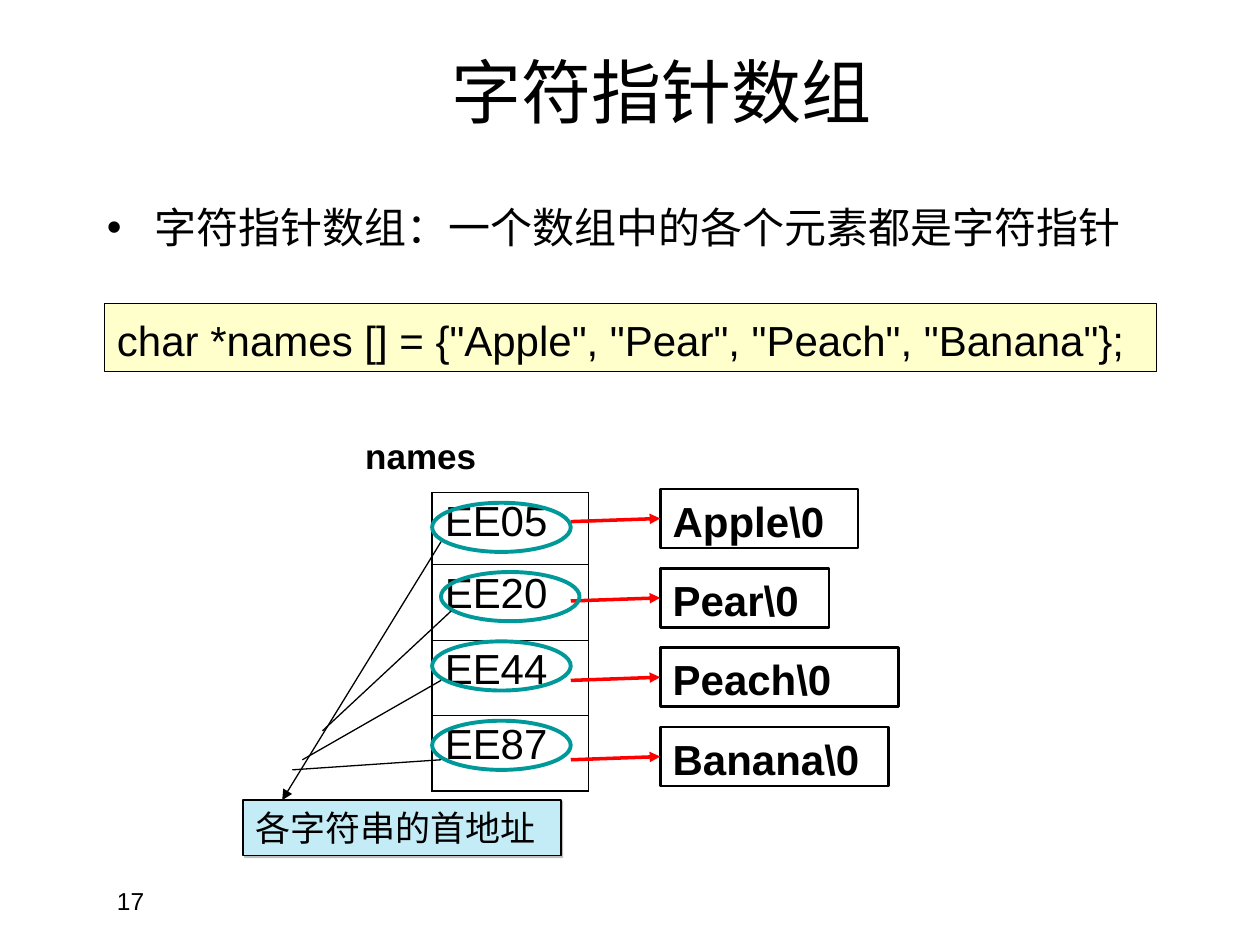
"""Build the slide that explains an array of character pointers."""
from dataclasses import dataclass
from typing import Any, NamedTuple, Optional

from lxml.etree import SubElement
from pptx import Presentation
from pptx.dml.color import RGBColor
from pptx.enum.shapes import MSO_CONNECTOR, MSO_SHAPE
from pptx.enum.text import MSO_ANCHOR, PP_ALIGN
from pptx.oxml.ns import qn
from pptx.util import Inches, Pt

COLUMNS, ROWS = 100, 75
SLIDE_WIDTH, SLIDE_HEIGHT = Inches(10), Inches(7.5)


@dataclass(frozen=True)
class Theme:
    ink: str = "000000"
    paper: str = "FFFFFF"
    code: str = "FFFFCC"
    note: str = "C4ECF6"
    pointer: str = "FF0000"
    ring: str = "009999"
    shade: str = "808080"
    font: str = "Arial"
    note_font: str = "Courier New"
    title: int = 40
    body: int = 24
    label: int = 20
    number: int = 14
    hair: float = 0.75
    thin: float = 1
    box: float = 1.5
    arrow: float = 2
    oval: float = 2.25
    table_edge: float = 1.08
    table_rule: float = 0.45


class Area(NamedTuple):
    left: float
    top: float
    width: float
    height: float


class Span(NamedTuple):
    x1: float
    y1: float
    x2: float
    y2: float


class Entry(NamedTuple):
    address: str
    word: str
    box_width: float
    ring_left: float
    ring_top: float
    guide: Span


THEME = Theme()
PITCH = 6.3
ENTRIES = (
    Entry("EE05", "Apple\\0", 15.7, 34.3, 39.9, Span(35, 43, 22.4, 63.5)),
    Entry("EE20", "Pear\\0", 13.4, 35, 45.4, Span(35.8, 48.5, 25.6, 58)),
    Entry("EE44", "Peach\\0", 18.9, 34.3, 50.9, Span(35, 54, 24, 60.3)),
    Entry("EE87", "Banana\\0", 18.1, 34.3, 57.2, Span(35, 60.3, 23.2, 61.1)),
)


def across(columns: float) -> int:
    """Convert grid columns to a length."""
    return round(SLIDE_WIDTH * columns / COLUMNS)


def down(rows: float) -> int:
    """Convert grid rows to a length."""
    return round(SLIDE_HEIGHT * rows / ROWS)


def place(area: Area) -> tuple[int, int, int, int]:
    """Convert a grid area to lengths."""
    return across(area.left), down(area.top), across(area.width), down(area.height)


def assign(target: Any, values: dict[str, Any]) -> None:
    """Set every attribute listed in values."""
    for name, value in values.items():
        setattr(target, name, value)


def write(frame: Any, words: str, size: int, font: str = THEME.font, bold: bool = False,
          anchor: MSO_ANCHOR = MSO_ANCHOR.TOP, align: PP_ALIGN = PP_ALIGN.LEFT,
          spacing: float = 1.0, bullet: bool = False) -> None:
    """Fill a text frame with one formatted paragraph."""
    assign(frame, {"word_wrap": True, "vertical_anchor": anchor})
    paragraph = frame.paragraphs[0]
    paragraph.text = words
    assign(paragraph, {"alignment": align, "line_spacing": spacing})
    if bullet:
        properties = paragraph._p.get_or_add_pPr()
        properties.set("marL", str(across(3.8)))
        properties.set("indent", str(-across(3.8)))
        SubElement(properties, qn("a:buFont"), typeface=THEME.font)
        SubElement(properties, qn("a:buChar"), char="•")
    run_font = paragraph.runs[0].font
    assign(run_font, {"size": Pt(size), "name": font, "bold": bold})
    run_font.color.rgb = RGBColor.from_string(THEME.ink)


def add_label(shapes: Any, area: Area, words: str, size: int, **style: Any) -> None:
    """Add a plain text box."""
    write(shapes.add_textbox(*place(area)).text_frame, words, size, **style)


def add_figure(shapes: Any, kind: MSO_SHAPE, area: Area, fill: Optional[str],
               line: str, weight: float) -> Any:
    """Add an outlined shape, filled when a colour is given."""
    figure = shapes.add_shape(kind, *place(area))
    figure.shadow.inherit = False
    if fill:
        figure.fill.solid()
        figure.fill.fore_color.rgb = RGBColor.from_string(fill)
    else:
        figure.fill.background()
    figure.line.color.rgb = RGBColor.from_string(line)
    figure.line.width = Pt(weight)
    return figure


def add_panel(shapes: Any, area: Area, fill: str, weight: float, words: str,
              size: int, **style: Any) -> Any:
    """Add a rectangle with text."""
    panel = add_figure(shapes, MSO_SHAPE.RECTANGLE, area, fill, THEME.ink, weight)
    write(panel.text_frame, words, size, **style)
    return panel


def add_line(shapes: Any, span: Span, color: str, weight: float, arrow: bool) -> Any:
    """Add a straight line, with an arrowhead when asked."""
    line = shapes.add_connector(MSO_CONNECTOR.STRAIGHT, across(span.x1), down(span.y1),
                                across(span.x2), down(span.y2))
    line.line.color.rgb = RGBColor.from_string(color)
    line.line.width = Pt(weight)
    if arrow:
        SubElement(line.line._get_or_add_ln(), qn("a:tailEnd"), type="triangle")
    SubElement(line._element.spPr, qn("a:effectLst"))
    return line


def cast_shadow(panel: Any) -> None:
    """Give a panel a hard half-transparent shadow."""
    effects = panel._element.spPr.find(qn("a:effectLst"))
    shadow = SubElement(effects, qn("a:outerShdw"), dist=str(Pt(1.4)), dir="2700000",
                        algn="ctr", rotWithShape="0")
    color = SubElement(shadow, qn("a:srgbClr"), val=THEME.shade)
    SubElement(color, qn("a:alpha"), val="50000")


def add_addresses(shapes: Any, area: Area) -> None:
    """Add the table of string addresses."""
    table = shapes.add_table(len(ENTRIES), 1, *place(area)).table
    assign(table, {"first_row": False, "horz_banding": False})
    last = len(ENTRIES) - 1
    for index, entry in enumerate(ENTRIES):
        table.rows[index].height = down(6 if index else 5.7)
        cell = table.cell(index, 0)
        write(cell.text_frame, entry.address, THEME.body)
        top = THEME.table_rule if index else THEME.table_edge
        bottom = THEME.table_rule if index < last else THEME.table_edge
        edges = {"L": THEME.table_edge, "R": THEME.table_edge, "T": top, "B": bottom}
        for side, weight in edges.items():
            border = SubElement(cell._tc.get_or_add_tcPr(), qn(f"a:ln{side}"), w=str(Pt(weight)))
            SubElement(SubElement(border, qn("a:solidFill")), qn("a:srgbClr"), val=THEME.ink)
        cell.fill.background()


def main() -> None:
    """Build and save the slide."""
    deck = Presentation()
    assign(deck, {"slide_width": SLIDE_WIDTH, "slide_height": SLIDE_HEIGHT})
    shapes = deck.slides.add_slide(deck.slide_layouts[6]).shapes
    add_label(shapes, Area(8.3, 69.8, 23.3, 2.4), "17", THEME.number)
    add_label(shapes, Area(7.5, 2.8, 90, 8.7), "字符指针数组", THEME.title,
              anchor=MSO_ANCHOR.MIDDLE, align=PP_ALIGN.CENTER)
    add_label(shapes, Area(7.5, 15.5, 88.2, 6.3),
              "字符指针数组：一个数组中的各个元素都是字符指针", THEME.body, bullet=True)
    add_panel(shapes, Area(8.3, 24.1, 83.5, 5.4), THEME.code, THEME.thin,
              'char *names [] = {"Apple", "Pear", "Peach", "Banana"};', THEME.body, spacing=1.1)
    add_addresses(shapes, Area(34.3, 39.1, 12.4, 23.7))
    add_label(shapes, Area(28, 34, 12.6, 4.4), "names", THEME.label, bold=True)
    for index, entry in enumerate(ENTRIES):
        offset = index * PITCH
        word = add_panel(shapes, Area(52.4, 38.8 + offset, entry.box_width, 4.7), THEME.paper,
                         THEME.box, entry.word, THEME.body, bold=True)
        pointer = add_line(shapes, Span(45.3, 41.4 + offset, 52.4, 41.1 + offset),
                           THEME.pointer, THEME.arrow, True)
        pointer.end_connect(word, 1)
        add_figure(shapes, MSO_SHAPE.OVAL, Area(entry.ring_left, entry.ring_top, 11, 3.9),
                   None, THEME.ring, THEME.oval)
    note = add_panel(shapes, Area(19.3, 63.5, 25.2, 4.4), THEME.note, THEME.thin,
                     "各字符串的首地址", THEME.label, font=THEME.note_font)
    cast_shadow(note)
    for index, entry in enumerate(ENTRIES):
        add_line(shapes, entry.guide, THEME.ink, THEME.hair, index == 0)
    deck.save("out.pptx")


if __name__ == "__main__":
    main()
